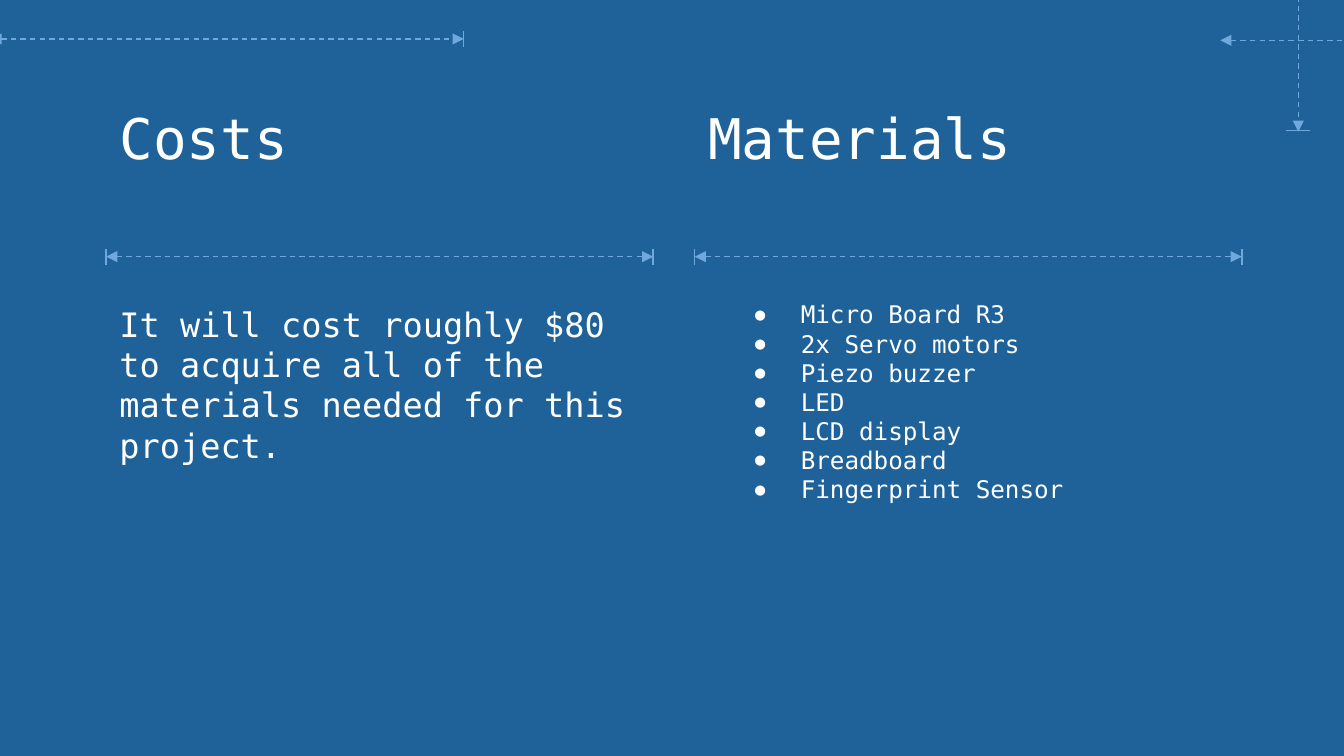
from lxml import etree
from pptx import Presentation
from pptx import util as u
from pptx.dml.color import RGBColor
from pptx.enum import dml, shapes, text
from pptx.oxml.ns import qn

WIDE = 10
HIGH = WIDE * 9 / 16
COLS = (0.79, 5.17)
SPAN = 4.07
HEAD, RULE, TICK = 0.67, 1.91, 0.06
FONT = "DejaVu Sans Mono"
HUES = {"back": "1F6299", "line": "6FA8DC", "text": "FFFFFF"}
PARTS = [
    "Micro Board R3",
    "2x Servo motors",
    "Piezo buzzer",
    "LED",
    "LCD display",
    "Breadboard",
    "Fingerprint Sensor",
]


def hue(name):
    return RGBColor.from_string(HUES[name])


def add_line(slide, start, end, arrow=False):
    ends = [u.Inches(n) for n in (*start, *end)]
    link = slide.shapes.add_connector(shapes.MSO_CONNECTOR.STRAIGHT, *ends)
    link.line.color.rgb = hue("line")
    link.line.width = u.Pt(0.75)
    if arrow:
        link.line.dash_style = dml.MSO_LINE.DASH
        pen = link.line._get_or_add_ln()
        for tag in ("a:headEnd", "a:tailEnd"):
            etree.SubElement(pen, qn(tag), type="triangle")
    etree.SubElement(link._element.spPr, qn("a:effectLst"))


def add_rule(slide, left):
    right = left + SPAN
    add_line(slide, (left, RULE), (right, RULE), arrow=True)
    for x in (left, right):
        add_line(slide, (x, RULE + TICK), (x, RULE - TICK))


def add_dot(para):
    props = para._p.get_or_add_pPr()
    props.set("marL", str(u.Inches(0.5)))
    props.set("indent", str(u.Inches(-0.34)))
    fill = etree.SubElement(props, qn("a:buClr"))
    etree.SubElement(fill, qn("a:srgbClr"), val=HUES["text"])
    etree.SubElement(props, qn("a:buSzPct"), val="70000")
    etree.SubElement(props, qn("a:buFont"), typeface=FONT)
    etree.SubElement(props, qn("a:buChar"), char="●")


def add_text(slide, lines, box, size=13, low=False, dots=False):
    frame = slide.shapes.add_textbox(*(u.Inches(n) for n in box)).text_frame
    frame.word_wrap = True
    frame.margin_left = frame.margin_right = u.Inches(0.1)
    frame.margin_top = frame.margin_bottom = u.Inches(0.1)
    frame.vertical_anchor = text.MSO_ANCHOR.BOTTOM if low else text.MSO_ANCHOR.TOP
    for i, line in enumerate(lines):
        para = frame.add_paragraph() if i else frame.paragraphs[0]
        if dots:
            add_dot(para)
        run = para.add_run()
        run.text = line
        run.font.name = FONT
        run.font.size = u.Pt(size)
        run.font.color.rgb = hue("text")


def add_frame(slide):
    add_line(slide, (-0.07, 0.29), (3.45, 0.29), arrow=True)
    add_line(slide, (3.45, 0.35), (3.45, 0.23))
    add_line(slide, (9.66, -0.25), (9.66, 0.98), arrow=True)
    add_line(slide, (9.08, 0.3), (10.54, 0.3), arrow=True)
    add_line(slide, (9.75, 0.97), (9.57, 0.97))


def main():
    deck = Presentation()
    deck.slide_width, deck.slide_height = u.Inches(WIDE), u.Inches(HIGH)
    slide = deck.slides.add_slide(deck.slide_layouts[6])
    slide.background.fill.solid()
    slide.background.fill.fore_color.rgb = hue("back")
    add_frame(slide)
    for left, title in zip(COLS, ("Costs", "Materials")):
        add_text(slide, [title], (left, HEAD, SPAN, 0.63), size=30)
        add_rule(slide, left)
    cost = "It will cost roughly $80 to acquire all of the materials needed for this project."
    add_text(slide, [cost], (COLS[0], 2.85, SPAN, 0.71), size=18, low=True)
    add_text(slide, PARTS, (5.36, 2.13, 3.85, 1.76), dots=True)
    deck.save("out.pptx")


if __name__ == "__main__":
    main()
